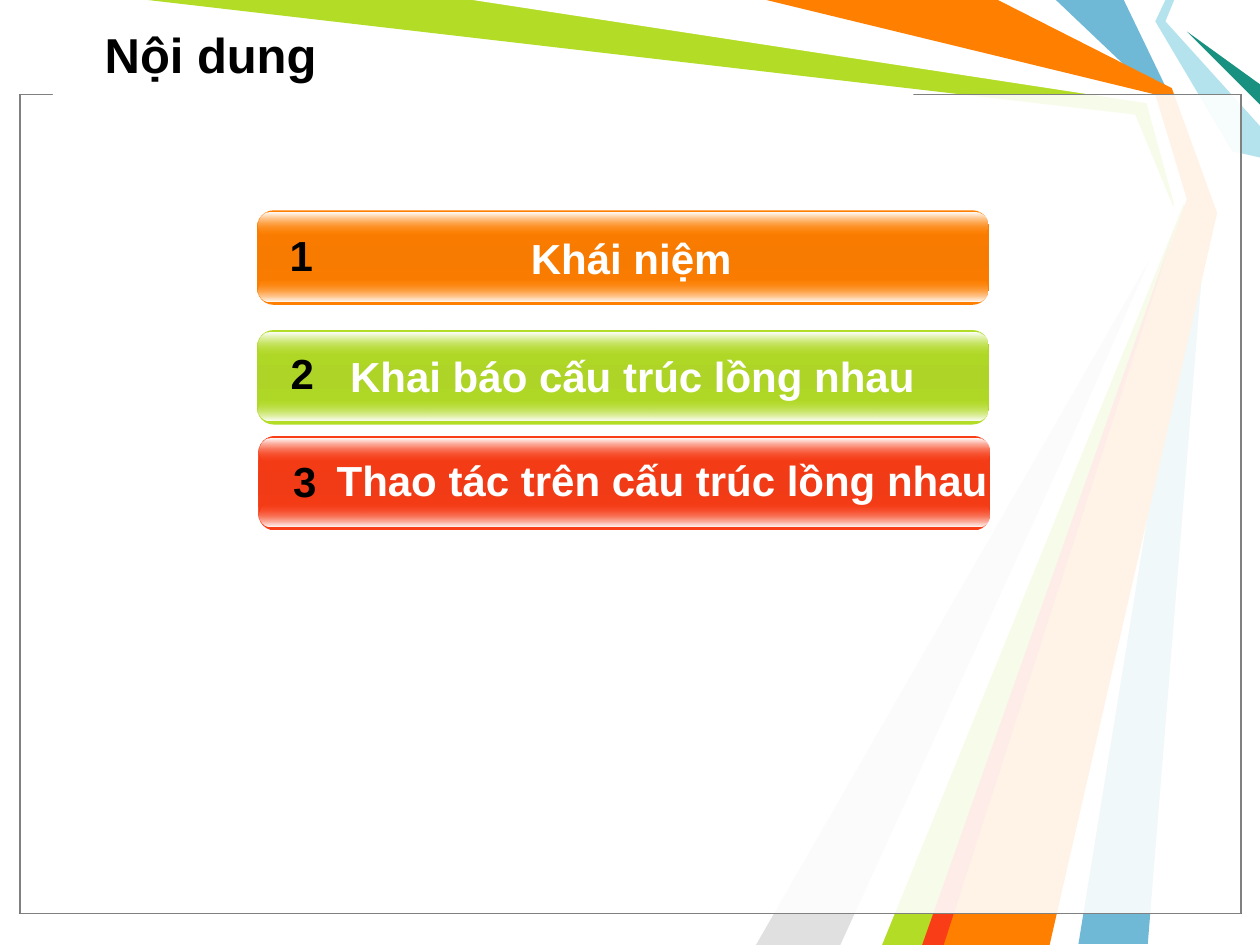
from dataclasses import dataclass

from pptx import Presentation
from pptx.dml.color import RGBColor
from pptx.enum.shapes import MSO_SHAPE as Preset
from pptx.enum.text import MSO_ANCHOR as Anchor, MSO_AUTO_SIZE as AutoSize, PP_ALIGN as Align
from pptx.oxml import parse_xml
from pptx.oxml.ns import nsdecls, qn
from pptx.util import Pt

FONT = "Arial"
BLACK, WHITE, GREY = "000000", "FFFFFF", "808080"
ORANGE, GREEN, RED = "FF7F00", "B3DC27", "F93D17"
BUTTON_WIDTH, BUTTON_HEIGHT = 418.3, 54
GLOSS_INSET, GLOSS_HEIGHT = 0.7, 13


@dataclass(frozen=True)
class Ribbon:
    color: str
    points: tuple[tuple[float, float], ...]


@dataclass(frozen=True)
class Text:
    words: str
    left: float
    top: float
    width: float
    color: str


@dataclass(frozen=True)
class Button:
    left: float
    top: float
    color: str
    middle: str
    label: Text
    number: Text


@dataclass(frozen=True)
class Stop:
    position: int
    color: str
    opacity: int = 100


RIBBONS = (
    Ribbon("6FB9D7", ((642.2, 0), (668.9, 55.4), (689.8, 120.2), (655.9, 539.3),
                      (616.3, 539.3), (684, 120.2), (660.2, 54), (603.4, 0))),
    Ribbon(GREEN, ((84.2, 0), (275.8, 0), (658.1, 56.2), (678.2, 121.7),
                   (534.2, 540), (498.2, 540), (673.2, 124.6), (648.7, 65.5))),
    Ribbon("E0E0E0", ((480.2, 540), (667.4, 130.3), (432, 540))),
    Ribbon(WHITE, ((270, 0), (655.2, 59), (671, 116.6), (486, 540),
                   (504, 540), (677.5, 113.8), (660.2, 54), (432, 0))),
    Ribbon("B4E3EE", ((666, 0), (660.2, 12.2), (704.2, 86.4), (720, 90),
                      (720, 72), (666, 12.2), (671, 0))),
    Ribbon("189180", ((720, 59.8), (678.2, 18), (720, 48.2))),
    Ribbon(ORANGE, ((437.8, 0), (570.2, 0), (669.6, 50.4), (695.5, 121.7),
                    (599.8, 540), (527.8, 540), (678.2, 113.8), (660.2, 54))),
    Ribbon(RED, ((527, 540), (671, 131.8), (539.3, 540))),
)

BUTTONS = (
    Button(147.6, 249.1, RED, "F03B16",
           Text("Thao tác trên cấu trúc lồng nhau", 182.9, 256.3, 391, WHITE),
           Text("3", 159.1, 257, 30.2, BLACK)),
    Button(146.9, 188.6, GREEN, "ADD426",
           Text("Khai báo cấu trúc lồng nhau", 184.3, 196.6, 354.2, WHITE),
           Text("2", 157.7, 195.1, 30.2, BLACK)),
    Button(146.9, 120.2, ORANGE, "F67B00",
           Text("Khái niệm", 183.6, 129.6, 354.2, WHITE),
           Text("1", 157, 127.4, 30.2, BLACK)),
)


def paint(color_format, color: str) -> None:
    color_format.rgb = RGBColor.from_string(color)


def fill_solid(shape, color: str) -> None:
    shape.shadow.inherit = False
    shape.fill.solid()
    paint(shape.fill.fore_color, color)
    shape.line.fill.background()


def fill_gradient(shape, stops: tuple[Stop, ...]) -> None:
    """Fill from top to bottom, with an opacity in percent at each stop."""
    shape.shadow.inherit = False
    shape.line.fill.background()
    shape.fill.background()
    entries = "".join(
        f'<a:gs pos="{stop.position * 1000}"><a:srgbClr val="{stop.color}">'
        f'<a:alpha val="{stop.opacity * 1000}"/></a:srgbClr></a:gs>'
        for stop in stops)
    gradient = parse_xml(
        f'<a:gradFill {nsdecls("a")} rotWithShape="1"><a:gsLst>{entries}</a:gsLst>'
        '<a:lin ang="5400000" scaled="0"/></a:gradFill>')
    properties = shape._element.spPr
    properties.replace(properties.find(qn("a:noFill")), gradient)


def add_ribbon(page, ribbon: Ribbon) -> None:
    start, *others = [(Pt(x), Pt(y)) for x, y in ribbon.points]
    builder = page.shapes.build_freeform(*start)
    builder.add_line_segments(others, close=True)
    fill_solid(builder.convert_to_shape(), ribbon.color)


def add_rectangle(page, left: float, top: float, width: float, height: float):
    box = page.shapes.add_shape(Preset.RECTANGLE, Pt(left), Pt(top), Pt(width), Pt(height))
    fill_solid(box, WHITE)
    return box


def add_veil(page, outline: str) -> None:
    """Add the translucent white frame that fades the ribbons."""
    veil = add_rectangle(page, 11.5, 54, 697.7, 468)
    color = veil._element.spPr.find(qn("a:solidFill"))[0]
    color.append(parse_xml(f'<a:alpha {nsdecls("a")} val="69000"/>'))
    veil.line.width = Pt(0.75)
    paint(veil.line.color, outline)


def add_span(para, words: str, size: float, color: str) -> None:
    span = para.add_run()
    span.text = words
    span.font.name = FONT
    span.font.size = Pt(size)
    span.font.bold = True
    paint(span.font.color, color)


def add_title(page, words: str) -> None:
    title = page.shapes.title
    title.left, title.top, title.width, title.height = map(Pt, (52.6, 5.8, 655.9, 49.7))
    frame = title.text_frame
    frame.auto_size = AutoSize.NONE
    frame.vertical_anchor = Anchor.MIDDLE
    frame.paragraphs[0].alignment = Align.LEFT
    add_span(frame.paragraphs[0], words, 28, BLACK)
    page.shapes._spTree.append(title._element)  # bring to front


def add_text(page, text: Text) -> None:
    box = page.shapes.add_textbox(Pt(text.left), Pt(text.top), Pt(text.width), Pt(36))
    box.text_frame.word_wrap = True
    para = box.text_frame.paragraphs[0]
    para.alignment = Align.CENTER
    add_span(para, text.words, 24, text.color)


def add_button(page, button: Button) -> None:
    group = page.shapes.add_group_shape()

    def add_layer(inset: float, offset: float, height: float, rounding: float, *stops: Stop):
        layer = group.shapes.add_shape(
            Preset.ROUNDED_RECTANGLE, Pt(button.left + inset), Pt(button.top + offset),
            Pt(BUTTON_WIDTH - 2 * inset), Pt(height))
        layer.adjustments[0] = rounding
        fill_gradient(layer, stops)

    color = button.color
    add_layer(0, 0, BUTTON_HEIGHT, 0.175,
              Stop(0, color), Stop(50, button.middle), Stop(100, color))
    add_layer(GLOSS_INSET, 38.9, GLOSS_HEIGHT, 0.5, Stop(0, color, 0), Stop(100, WHITE))
    add_layer(GLOSS_INSET, 1.5, GLOSS_HEIGHT, 0.5, Stop(0, WHITE), Stop(100, color, 0))


def main() -> None:
    deck = Presentation()
    deck.slide_width, deck.slide_height = Pt(720), Pt(540)
    page = deck.slides.add_slide(deck.slide_layouts[5])
    for ribbon in RIBBONS:
        add_ribbon(page, ribbon)
    for outline in (BLACK, GREY):
        add_veil(page, outline)
    add_rectangle(page, 30.2, 53.3, 491.8, 12.2)
    add_title(page, "Nội dung")
    for button in BUTTONS:
        add_button(page, button)
        add_text(page, button.label)
        add_text(page, button.number)
    deck.save("out.pptx")


if __name__ == "__main__":
    main()
